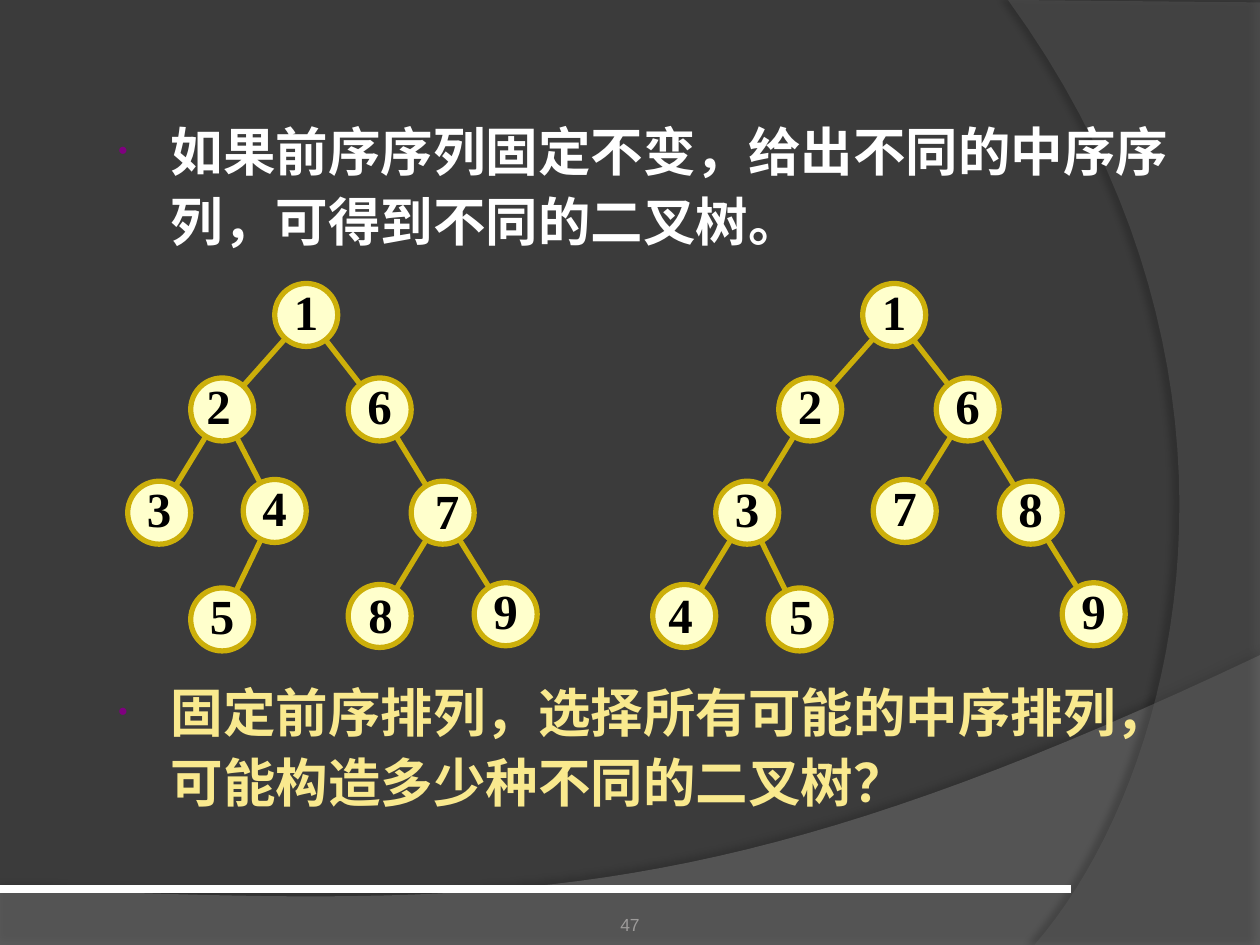
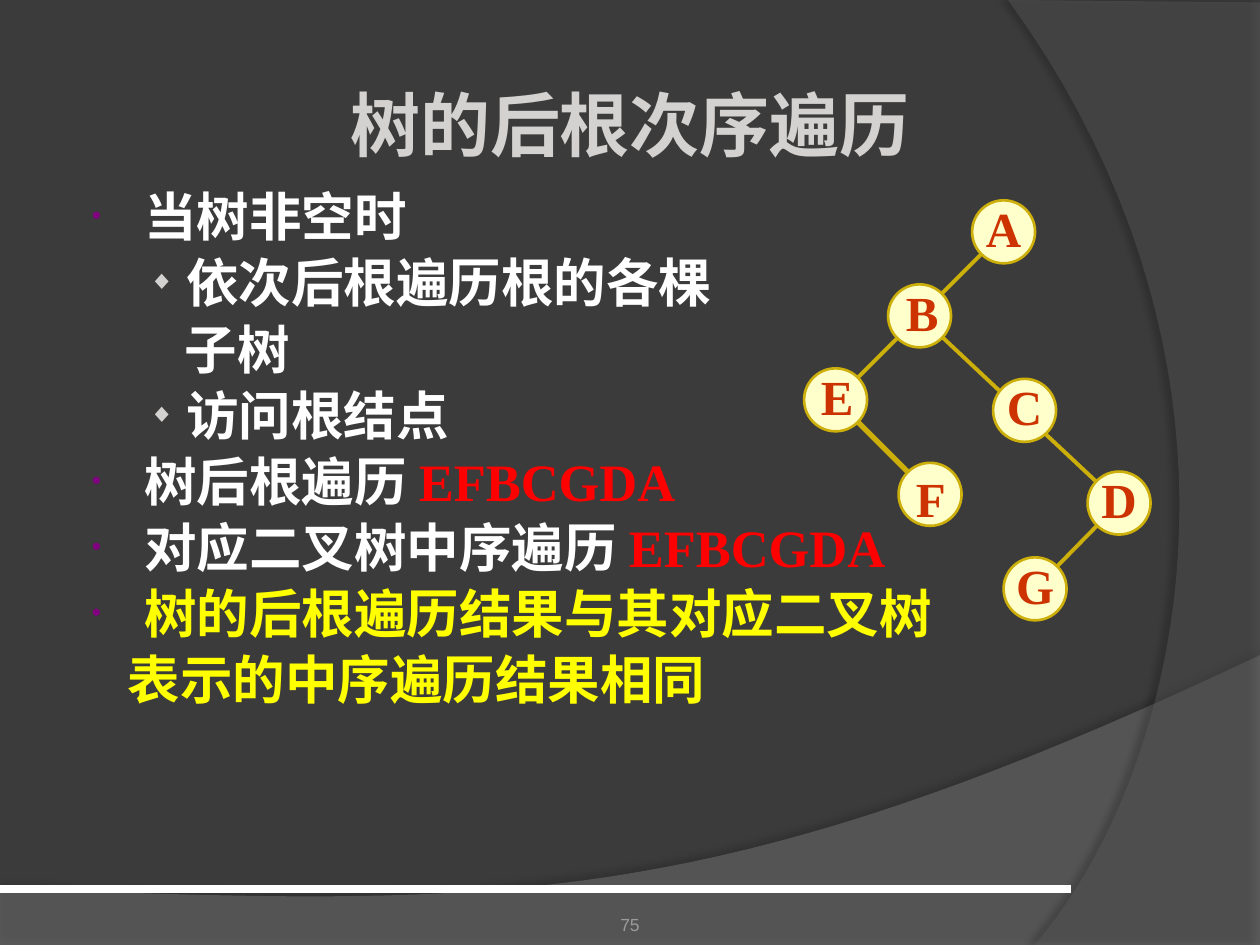
from lxml import etree
from pptx import Presentation
from pptx.dml.color import RGBColor
from pptx.enum import shapes, text
from pptx.oxml.ns import qn
from pptx.util import Pt

BACKGROUND, WHITE, GOLD, CREAM = "3B3B3B", "FFFFFF", "CCAF0A", "FFFFCC"
PALE, PURPLE, RED, YELLOW = "D4D2D0", "800080", "FF0000", "FFFF00"
SANS, SERIF, TITLE_FONT = "Arial", "Times New Roman", "Karla"
WIDTH, HEIGHT, NODE_SIZE = 720, 540, 36


def color(value):
    return RGBColor.from_string(value)


def set_font(font, name, size, value, bold=True):
    font.name, font.size, font.bold = name, Pt(size), bold
    font.color.rgb = color(value)


def add_element(parent, tag, **attributes):
    element = etree.SubElement(parent, qn(tag))
    for name, value in attributes.items():
        element.set(name, str(value))
    return element


def set_insets(frame, insets):
    frame.margin_left, frame.margin_top, frame.margin_right, frame.margin_bottom = map(Pt, insets)


def add_textbox(slide, box, anchor, insets=(7.2, 3.6, 7.2, 3.6)):
    frame = slide.shapes.add_textbox(*map(Pt, box)).text_frame
    frame.word_wrap = True
    frame.vertical_anchor = anchor
    set_insets(frame, insets)
    return frame


def add_line(slide, start, end, value, width):
    line = slide.shapes.add_connector(shapes.MSO_CONNECTOR.STRAIGHT, *map(Pt, (*start, *end)))
    line.line.color.rgb = color(value)
    line.line.width = Pt(width)
    add_element(line._element.spPr, "a:effectLst")


def curve(p0, p1, p2, p3, steps=40):
    for step in range(1, steps + 1):
        t = step / steps
        weights = ((1 - t) ** 3, 3 * t * (1 - t) ** 2, 3 * t * t * (1 - t), t ** 3)
        yield tuple(sum(w * p[axis] for w, p in zip(weights, (p0, p1, p2, p3))) for axis in (0, 1))


def add_swoosh(slide, points, value, opacity, shadow_opacity, distance, direction):
    emu = [tuple(Pt(length) for length in point) for point in points]
    builder = slide.shapes.build_freeform(*emu[0], scale=1.0)
    builder.add_line_segments(emu[1:], close=True)
    swoosh = builder.convert_to_shape()
    swoosh.fill.solid()
    swoosh.fill.fore_color.rgb = color(value)
    swoosh.line.fill.background()
    properties = swoosh._element.spPr
    fill = properties.find(qn("a:solidFill"))[0]
    add_element(fill, "a:alpha", val=opacity * 1000)
    effects = add_element(properties, "a:effectLst")
    shadow = add_element(effects, "a:outerShdw", blurRad=Pt(4), dist=Pt(distance),
                         dir=direction * 60000, algn="ctr", rotWithShape=0)
    add_element(add_element(shadow, "a:srgbClr", val="000000"), "a:alpha", val=shadow_opacity * 1000)


def add_base_slide(presentation, number):
    slide = presentation.slides.add_slide(presentation.slide_layouts[6])
    slide.background.fill.solid()
    slide.background.fill.fore_color.rgb = color(BACKGROUND)
    right, left = (WIDTH, 374.4), (0, 507.6)
    bottom = [left, (0, HEIGHT), (WIDTH, HEIGHT), right, *curve(right, (402.5, 525), (281.5, 517.7), left)]
    add_swoosh(slide, bottom, "7F7F7F", 45, 35, 3.5, 270)
    low, high = (591.1, HEIGHT), (576, 0)
    side = [(WIDTH, 1.4), (WIDTH, HEIGHT), low, *curve(low, (673.2, 445.7), (733, 216), high)]
    add_swoosh(slide, side, "5E5E5E", 40, 45, 4, 180)
    add_line(slide, (0, 508), (612, 508), WHITE, 4.5)
    paragraph = add_textbox(slide, (246, 505.4, 228, 28.8), text.MSO_ANCHOR.BOTTOM, (0, 3.6, 0, 0)).paragraphs[0]
    paragraph.text = str(number)
    paragraph.alignment = text.PP_ALIGN.CENTER
    set_font(paragraph.font, SANS, 10, "9D9B9A", False)
    return slide


def add_title(slide, box, title):
    paragraph = add_textbox(slide, box, text.MSO_ANCHOR.MIDDLE).paragraphs[0]
    paragraph.text = title
    paragraph.alignment = text.PP_ALIGN.CENTER
    set_font(paragraph.font, TITLE_FONT, 40, PALE)


def add_body(slide, box, items, spacing):
    frame = add_textbox(slide, box, text.MSO_ANCHOR.TOP)
    for index, (margin, indent, bullet, space_before, runs) in enumerate(items):
        paragraph = frame.add_paragraph() if index else frame.paragraphs[0]
        paragraph.line_spacing = spacing
        paragraph.space_before = Pt(space_before)
        properties = paragraph._p.get_or_add_pPr()
        properties.set("marL", str(Pt(margin)))
        properties.set("indent", str(Pt(indent)))
        if bullet:
            add_element(add_element(properties, "a:buClr"), "a:srgbClr", val=PURPLE if bullet == "•" else PALE)
            add_element(properties, "a:buSzPct", val=50000)
            add_element(properties, "a:buFont", typeface=SANS)
            add_element(properties, "a:buChar", char=bullet)
        for content, name, value in runs:
            run = paragraph.add_run()
            run.text = content
            set_font(run.font, name, 30, value)


def add_tree(slide, origin, nodes, edges, nudges, label_color, outline, edge_width, heavy_edges=()):
    left, top = origin
    centers = {label: (left + x + NODE_SIZE / 2, top + y + NODE_SIZE / 2) for label, (x, y) in nodes.items()}
    for edge in edges.split():
        start, end = edge
        add_line(slide, centers[start], centers[end], GOLD, 3 if edge in heavy_edges else edge_width)
    for label, (x, y) in nodes.items():
        node = slide.shapes.add_shape(shapes.MSO_SHAPE.OVAL, *map(Pt, (left + x, top + y, NODE_SIZE, NODE_SIZE)))
        node.shadow.inherit = False
        node.fill.solid()
        node.fill.fore_color.rgb = color(CREAM)
        node.line.color.rgb = color(GOLD)
        node.line.width = Pt(outline)
        frame = node.text_frame
        frame.word_wrap = False
        frame.vertical_anchor = text.MSO_ANCHOR.MIDDLE
        right_shift, down_shift = nudges.get(label, (0, 0))
        set_insets(frame, (max(2 * right_shift, 0), 2 * down_shift, max(-2 * right_shift, 0), 5))
        paragraph = frame.paragraphs[0]
        paragraph.text = label
        paragraph.alignment = text.PP_ALIGN.CENTER
        set_font(paragraph.font, SERIF, 28, label_color)


def add_preorder_slide(presentation):
    slide = add_base_slide(presentation, 47)
    items = [
        (33, -30, "•", 3, [("如果前序序列固定不变，给出不同的中序序列，可得到不同的二叉树。", SANS, WHITE)]),
        (33, -30, "•", 241.5, [("固定前序排列，选择所有可能的中序排列，可能构造多少种不同的二叉树？", SANS, "F9E98E")]),
    ]
    add_body(slide, (57.6, 61, 625, 436), items, 1.1)
    left_nodes = {"1": (84, 0), "2": (36, 54), "6": (126, 54), "3": (0, 113), "4": (66, 112),
                  "7": (162, 113), "5": (36, 174), "8": (126, 172), "9": (198, 171)}
    right_nodes = {"1": (120, 0), "2": (72, 54), "6": (162, 54), "3": (36, 113), "7": (126, 112),
                   "8": (198, 113), "4": (0, 172), "5": (66, 174), "9": (234, 171)}
    left_nudges = {"2": (-2, 0), "7": (2.5, 1), "8": (0.5, 1.5)}
    right_nudges = {"4": (-2, 1.5), "5": (1, 0)}
    add_tree(slide, (73, 162), left_nodes, "12 16 23 24 45 67 78 79", left_nudges, "000000", 3, 3)
    add_tree(slide, (373, 162), right_nodes, "12 16 23 34 35 67 68 89", right_nudges, "000000", 3, 3)


def add_postorder_slide(presentation):
    slide = add_base_slide(presentation, 75)
    nodes = {"A": (96, 0), "B": (48, 48), "E": (0, 96), "C": (108, 102),
             "F": (54, 150), "D": (162, 155), "G": (114, 204)}
    nudges = {"B": (1.5, 0), "E": (1, 0), "F": (0.5, 4.5)}
    add_tree(slide, (459.5, 114.5), nodes, "EF DG AE BD", nudges, "CC3300", 1.5, 2.25, ("EF",))
    add_title(slide, (36, 35.5, 648, 70), "树的后根次序遍历")
    order = ("EFBCGDA", SERIF, RED)
    items = [
        (33, -30, "•", 0, [("当树非空时", SANS, WHITE)]),
        (57, -21.6, "◆", 0, [("依次后根遍历根的各棵", SANS, WHITE)]),
        (56, 0, None, 0, [("子树", SANS, WHITE)]),
        (57, -21.6, "◆", 0, [("访问根结点", SANS, WHITE)]),
        (33, -30, "•", 0, [("树后根遍历 ", SANS, WHITE), order]),
        (33, -30, "•", 0, [("对应二叉树中序遍历 ", SANS, WHITE), order]),
        (33, -30, "•", 0, [("树的后根遍历结果与其对应二叉树", SANS, YELLOW)]),
        (23.5, 0, None, 0, [("表示的中序遍历结果相同", SANS, YELLOW)]),
    ]
    add_body(slide, (42.5, 100, 620, 405), items, 1.05)


def main():
    presentation = Presentation()
    presentation.slide_width, presentation.slide_height = Pt(WIDTH), Pt(HEIGHT)
    add_preorder_slide(presentation)
    add_postorder_slide(presentation)
    presentation.save("out.pptx")


if __name__ == "__main__":
    main()
